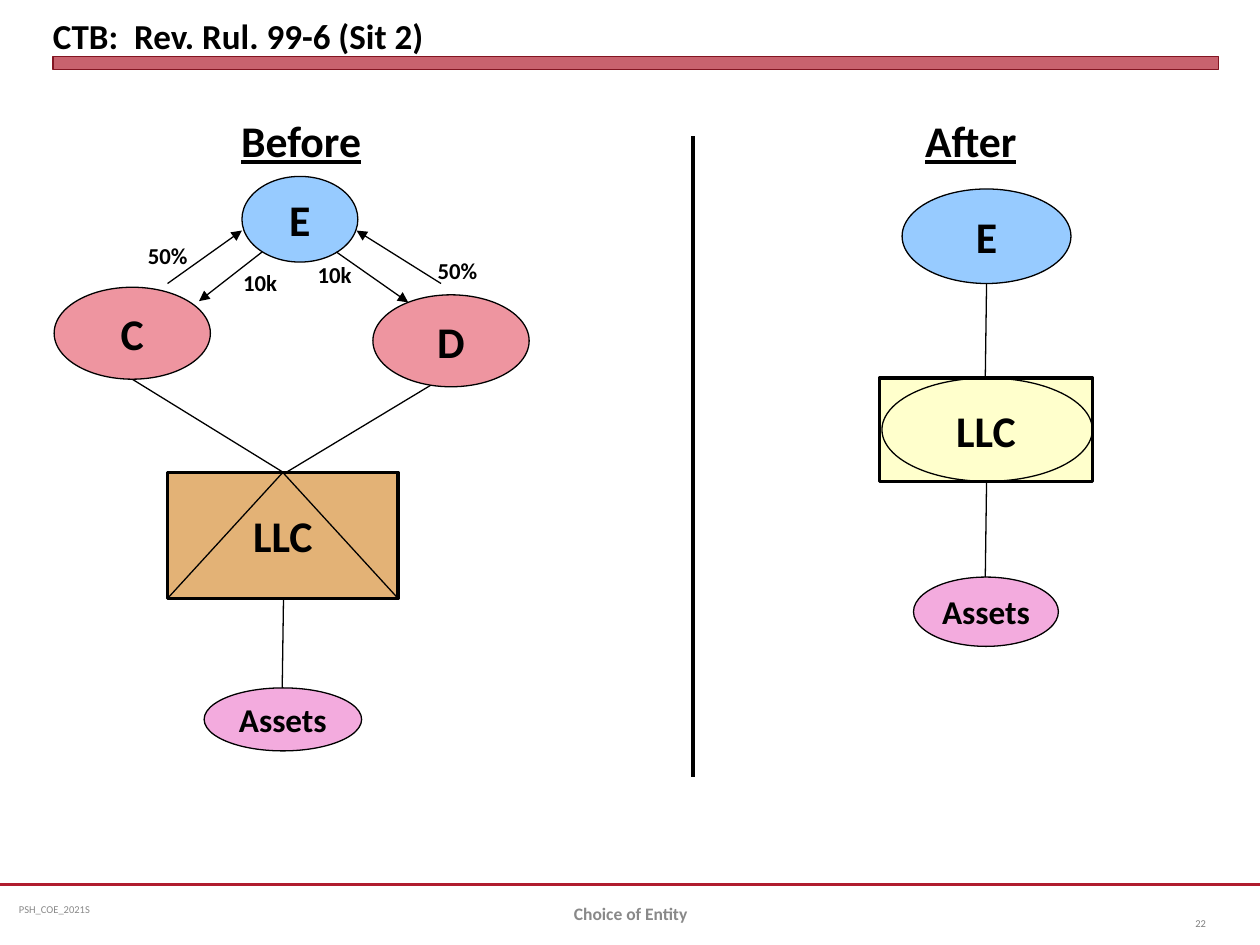
import pptx
import pptx.dml.color
import pptx.enum.shapes
import pptx.enum.text
import pptx.oxml.ns
import pptx.util
import lxml.etree

COLUMNS, ROWS = 100, 75
COLORS = {
    "black": "000000", "crimson": "B01C2E", "maroon": "821522",
    "gray": "898989", "page gray": "808080", "blue": "97CBFF",
    "rose": "EE95A0", "tan": "E3B276", "cream": "FFFFCC", "pink": "F3ABDE",
}
SHAPES = pptx.enum.shapes.MSO_SHAPE
ANCHORS = pptx.enum.text.MSO_ANCHOR
ALIGN = pptx.enum.text.PP_ALIGN
HEADING, ASSETS, LABEL = 25, 19, 13


class Diagram:
    """Draws on a blank slide; positions are grid columns and rows."""

    def __init__(self, presentation):
        self.slide = presentation.slides.add_slide(presentation.slide_layouts[6])
        self.column = presentation.slide_width / COLUMNS
        self.row = presentation.slide_height / ROWS

    def place(self, *values):
        """Turns alternating columns and rows into lengths."""
        return [round(value * (self.row if index % 2 else self.column))
                for index, value in enumerate(values)]

    def color(self, name):
        return pptx.dml.color.RGBColor.from_string(COLORS[name])

    def set_text(self, shape, text, size=HEADING, color="black", align=ALIGN.CENTER,
                 bold=True, underline=None, frame_format=None):
        frame = shape.text_frame
        frame_values = {"word_wrap": False, "vertical_anchor": ANCHORS.MIDDLE}
        for name, value in (frame_values | (frame_format or {})).items():
            setattr(frame, name, value)
        paragraph = frame.paragraphs[0]
        paragraph.alignment = align
        run = paragraph.add_run()
        run.text = text
        font_values = {"name": "Calibri", "size": pptx.util.Pt(size),
                       "bold": bold, "underline": underline}
        for name, value in font_values.items():
            setattr(run.font, name, value)
        run.font.color.rgb = self.color(color)
        return paragraph

    def text(self, box, text, **style):
        shape = self.slide.shapes.add_textbox(*self.place(*box))
        return self.set_text(shape, text, **style)

    def label(self, box, text, size=LABEL, **style):
        fit = {"auto_size": pptx.enum.text.MSO_AUTO_SIZE.SHAPE_TO_FIT_TEXT}
        return self.text(box, text, size=size, frame_format=fit, **style)

    def node(self, kind, box, text=None, fill=None, line="black", width=0.75, size=HEADING):
        shape = self.slide.shapes.add_shape(kind, *self.place(*box))
        shape.shadow.inherit = False
        if fill:
            shape.fill.solid()
            shape.fill.fore_color.rgb = self.color(fill)
        else:
            shape.fill.background()
        shape.line.color.rgb = self.color(line)
        shape.line.width = pptx.util.Pt(width)
        if text:
            self.set_text(shape, text, size=size)
        return shape

    def line(self, ends, color="black", width=0.75, arrow=False):
        connector = self.slide.shapes.add_connector(
            pptx.enum.shapes.MSO_CONNECTOR.STRAIGHT, *self.place(*ends))
        connector.line.color.rgb = self.color(color)
        connector.line.width = pptx.util.Pt(width)
        qualify = pptx.oxml.ns.qn
        properties = connector.element.spPr
        if arrow:
            lxml.etree.SubElement(properties.find(qualify("a:ln")),
                                  qualify("a:tailEnd"), type="triangle")
        lxml.etree.SubElement(properties, qualify("a:effectLst"))

    def frame(self):
        """Draws the title, the red rules and the footer."""
        self.line((0, 70.2, 100, 70.2), "crimson", 1.25)
        self.text((0.8, 70.2, 25.8, 4), "PSH_COE_2021S", size=6, color="gray",
                  align=ALIGN.LEFT, bold=False,
                  frame_format={"margin_left": pptx.util.Inches(0.07)})
        bar = self.node(SHAPES.RECTANGLE, (4.2, 4.5, 92.5, 1),
                        fill="crimson", line="maroon", width=0)
        fill_color = bar.element.spPr.find(".//" + pptx.oxml.ns.qn("a:srgbClr"))
        lxml.etree.SubElement(fill_color, pptx.oxml.ns.qn("a:alpha"), val="69000")
        no_margins = {f"margin_{side}": 0 for side in ("left", "top", "right", "bottom")}
        self.text((4.2, 0.5, 92.5, 4), "CTB:  Rev. Rul. 99-6 (Sit 2)", size=20,
                  align=ALIGN.LEFT, frame_format=no_margins | {
                      "word_wrap": True, "vertical_anchor": ANCHORS.BOTTOM})
        self.text((91.7, 70.8, 5, 4), "22", size=6, color="page gray",
                  align=ALIGN.RIGHT, bold=False, frame_format={
                      "word_wrap": True, "margin_top": pptx.util.Inches(0.15)})
        self.text((34.2, 70.5, 31.7, 4), "Choice of Entity", size=10, color="gray",
                  frame_format={"word_wrap": True})

    def after(self):
        self.label((71.8, 8.5, 10.5, 5.2), "After", HEADING, underline=True)
        self.node(SHAPES.OVAL, (71.6, 15, 13.4, 7.5), "E", "blue")
        self.node(SHAPES.RECTANGLE, (69.8, 30, 16.9, 8.2), "LLC", "cream", width=2)
        self.node(SHAPES.OVAL, (70, 30, 16.7, 8.2))
        self.node(SHAPES.OVAL, (72.5, 45.8, 11.5, 5.5), "Assets", "pink", size=ASSETS)
        for top, bottom in ((22.5, 30), (38.2, 45.8)):
            self.line((78.3, top, 78.2, bottom))

    def before(self):
        company = (13.3, 37.5, 18.3, 10)
        self.label((18, 8.5, 11.8, 5.2), "Before", HEADING, underline=True)
        self.node(SHAPES.RECTANGLE, company, "LLC", "tan", width=2)
        self.node(SHAPES.ISOSCELES_TRIANGLE, company)
        for ends in ((10.5, 30.1, 22.5, 37.5), (36.3, 29.3, 22.7, 37.5),
                     (22.5, 47.5, 22.4, 54.6)):
            self.line(ends)
        for box, name, fill in (((19.2, 14, 9.2, 6.8), "E", "blue"),
                                ((4.3, 22.8, 12.4, 7.3), "C", "rose"),
                                ((29.6, 23.4, 12.4, 7.3), "D", "rose")):
            self.node(SHAPES.OVAL, box, name, fill)
        self.node(SHAPES.OVAL, (16.2, 54.6, 12.5, 5), "Assets", "pink", size=ASSETS)
        for ends in ((35, 22.5, 28.3, 18.3), (26.7, 20, 32.4, 24),
                     (20.8, 20, 15.8, 23.9), (13.3, 22.5, 19.2, 18.3)):
            self.line(ends, arrow=True)
        for box, amount in (((24.2, 20.2, 4.7, 3.2), "10k "),
                            ((18.3, 20.8, 4.7, 3.2), "10k "),
                            ((10.7, 18.7, 5.2, 3.2), "50%")):
            self.label(box, amount)
        right_share = self.label((33.7, 18.2, 5.2, 5.2), "50%")
        tall_space = right_share.add_run()
        tall_space.text = " "
        tall_space.font.name = "Calibri"
        tall_space.font.size = pptx.util.Pt(HEADING)


def main():
    presentation = pptx.Presentation()
    presentation.slide_width = pptx.util.Inches(10)
    presentation.slide_height = pptx.util.Inches(7.5)
    diagram = Diagram(presentation)
    diagram.frame()
    diagram.before()
    diagram.line((55, 10.8, 55, 61.7), width=2.5)
    diagram.after()
    presentation.save("out.pptx")


if __name__ == "__main__":
    main()
